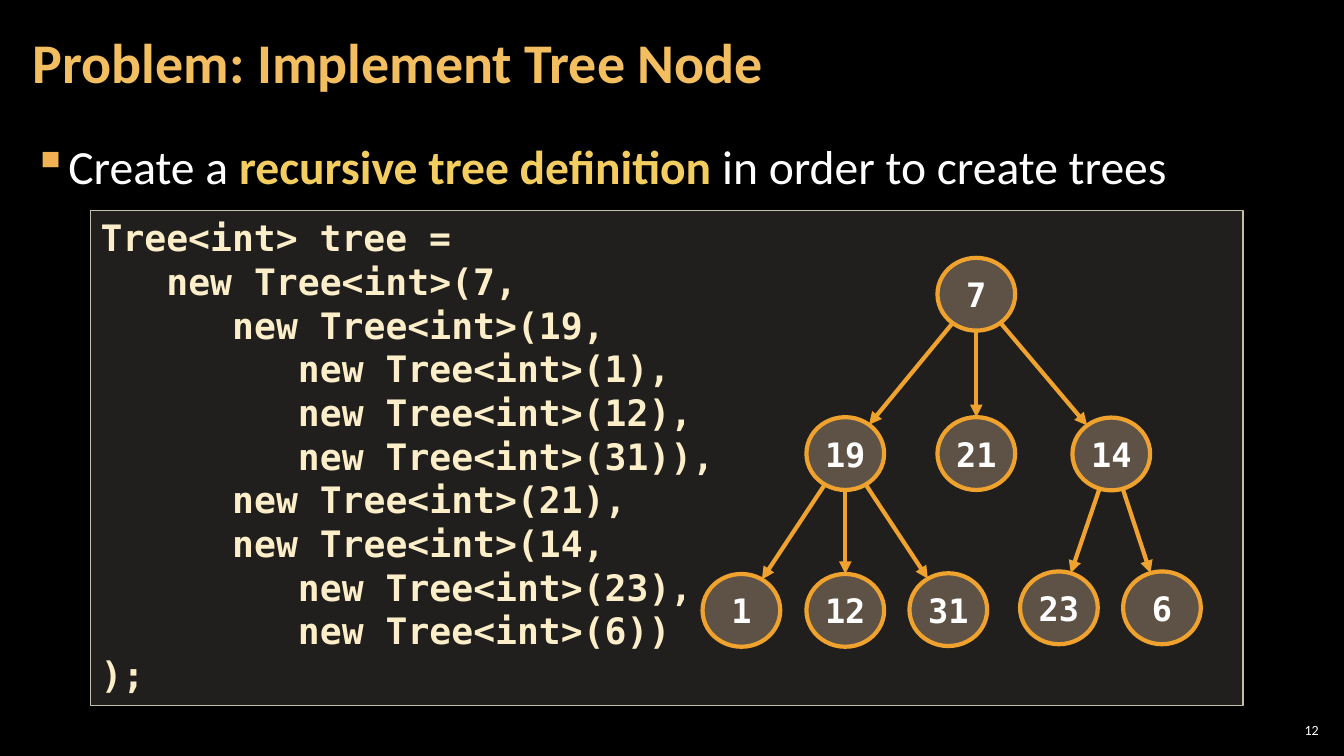
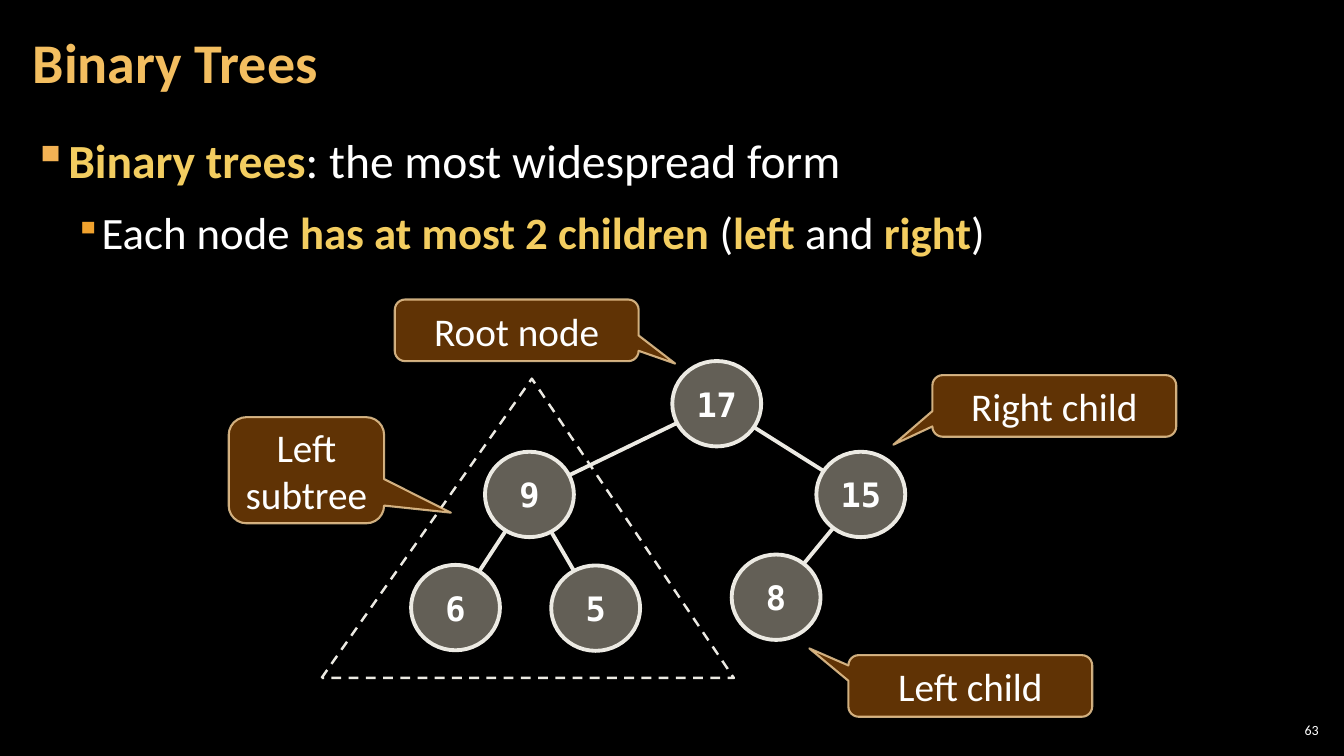
"""Build two slides about trees: a recursive definition and binary trees."""
import math

import lxml.etree
import pptx
import pptx.dml.color
import pptx.enum.dml
import pptx.enum.shapes
import pptx.enum.text
import pptx.oxml.ns
import pptx.util

Pt = pptx.util.Pt
SHAPE = pptx.enum.shapes.MSO_SHAPE
ALIGN = pptx.enum.text.PP_ALIGN
MIDDLE = pptx.enum.text.MSO_ANCHOR.MIDDLE
BODY_FONT = "Calibri"
CODE_FONT = "DejaVu Sans Mono"
COLORS = {
    "background": "000000", "title": "F3BE60", "text": "FFFFFF", "strong": "F3CD60",
    "bullet": "F2B254", "subbullet": "F0A22E",
    "code": "FBEEC9", "code_fill": "D9D5C7", "code_line": "C7BFAC",
    "orange_fill": "ECC8A4", "orange_line": "F0A22E",
    "gray_fill": "C7BFAC", "gray_line": "ECEAE3",
    "callout_fill": "663606", "callout_line": "F8D49E",
}
BULLETS = [
    {"size": 34, "left": 24, "hang": 24, "color": "bullet", "percent": 100},
    {"size": 32, "left": 48, "hang": 18, "color": "subbullet", "percent": 80},
]
CODE_INDENT = 47
CODE = [
    (0, "Tree<int> tree ="),
    (1, "new Tree<int>(7,"),
    (2, "new Tree<int>(19,"),
    (3, "new Tree<int>(1),"),
    (3, "new Tree<int>(12),"),
    (3, "new Tree<int>(31)),"),
    (2, "new Tree<int>(21),"),
    (2, "new Tree<int>(14,"),
    (3, "new Tree<int>(23),"),
    (3, "new Tree<int>(6))"),
    (0, ");"),
]
ORANGE_STYLE = {"width": 55.5, "height": 52, "fill": "orange_fill", "opacity": 30,
                "line": "orange_line", "weight": 3, "arrow": True}
GRAY_STYLE = {"width": 63.5, "height": 61, "fill": "gray_fill", "opacity": 50,
              "line": "gray_line", "weight": 2.75, "arrow": False}
GENERAL_NODES = {
    "7": (697.4, 210.2),
    "19": (603.8, 324), "21": (697.4, 324), "14": (793.8, 324.3),
    "1": (529.6, 436), "12": (603.8, 436), "31": (677.4, 435.5),
    "23": (756.4, 434.2), "6": (830, 434.2),
}
GENERAL_EDGES = [("7", "19"), ("7", "21"), ("7", "14"), ("19", "1"), ("19", "12"),
                 ("19", "31"), ("14", "23"), ("14", "6")]
BINARY_NODES = {
    "17": (512, 288.4), "9": (378.2, 353.2), "15": (614.9, 353.2),
    "6": (325.4, 434), "5": (425.5, 434.4), "8": (554.4, 426.6),
}
BINARY_EDGES = [("17", "9"), ("17", "15"), ("9", "6"), ("9", "5"), ("15", "8")]
CALLOUTS = [
    ("Root node", (282, 214, 174.2, 44), (0.65, 0.54)),
    ("Left\nsubtree", (163.4, 298, 111, 75.8), (0.93, 0.4)),
    ("Right child", (666, 268, 174.2, 44), (-0.66, 0.63)),
    ("Left child", (606, 468, 174.2, 44), (-0.66, -0.61)),
]


def rgb(name):
    """Return a palette colour."""
    return pptx.dml.color.RGBColor.from_string(COLORS[name])


def add_xml(parent, tag, **attributes):
    """Append a drawing element to its parent."""
    return lxml.etree.SubElement(parent, pptx.oxml.ns.qn("a:" + tag), attributes)


def set_opacity(fill_parent, percent):
    """Make the solid fill inside an element partly transparent."""
    color = fill_parent.find(pptx.oxml.ns.qn("a:solidFill"))[0]
    add_xml(color, "alpha", val=str(percent * 1000))


def style_font(font, size, color, bold=False, name=BODY_FONT):
    """Set the look of a font."""
    font.name, font.size, font.bold = name, Pt(size), bold
    font.color.rgb = rgb(color)


def write(shape, text, size, color, bold=False, font=BODY_FONT, align=ALIGN.CENTER):
    """Fill a shape with evenly styled, vertically centred text."""
    frame = shape.text_frame
    frame.text = text
    frame.vertical_anchor = MIDDLE
    for para in frame.paragraphs:
        para.alignment = align
        for span in para.runs:
            style_font(span.font, size, color, bold, font)


def add_text_box(slide, place, side_inset):
    """Add a wrapping text box with narrow insets."""
    box = slide.shapes.add_textbox(*map(Pt, place))
    frame = box.text_frame
    frame.word_wrap = True
    frame.margin_left = frame.margin_right = Pt(side_inset)
    frame.margin_top = frame.margin_bottom = Pt(3)
    return box


def add_figure(slide, kind, place, line, weight, fill=None, opacity=100):
    """Add a preset shape with a flat fill and outline."""
    shape = slide.shapes.add_shape(kind, *map(Pt, place))
    shape.shadow.inherit = False
    if fill:
        shape.fill.solid()
        shape.fill.fore_color.rgb = rgb(fill)
        set_opacity(shape.fill._xPr, opacity)
    else:
        shape.fill.background()
    shape.line.color.rgb = rgb(line)
    shape.line.width = Pt(weight)
    return shape


def add_page(deck, title, number):
    """Add a slide with its title and number."""
    page = deck.slides.add_slide(deck.slide_layouts[6])
    title_box = add_text_box(page, (15, 3, 754, 87), 8.5)
    write(title_box, title, 40, "title", True, align=ALIGN.LEFT)
    title_box.text_frame.paragraphs[0].line_spacing = 0.9
    number_box = add_text_box(page, (911, 514, 34, 15), 3)
    write(number_box, number, 10, "text", align=ALIGN.RIGHT)
    return page


def add_bullets(slide, items, line_spacing=1.0):
    """Add bulleted lines; each item is a level and (text, is_strong) spans."""
    frame = add_text_box(slide, (15, 90.7, 930, 438), 8.5).text_frame
    for index, (level, spans) in enumerate(items):
        para = frame.add_paragraph() if index else frame.paragraphs[0]
        look = BULLETS[level]
        para.level = level
        para.line_spacing = line_spacing
        para.space_before = para.space_after = Pt(6)
        for text, strong in spans:
            span = para.add_run()
            span.text = text
            style_font(span.font, look["size"], "strong" if strong else "text", strong)
        settings = para._p.get_or_add_pPr()
        settings.set("marL", str(Pt(look["left"])))
        settings.set("indent", str(-Pt(look["hang"])))
        add_xml(add_xml(settings, "buClr"), "srgbClr", val=COLORS[look["color"]])
        add_xml(settings, "buSzPct", val=str(look["percent"] * 1000))
        add_xml(settings, "buChar", char="▪")


def add_code(slide, lines, place):
    """Add a code panel whose lines are indented by level."""
    panel = add_figure(slide, SHAPE.RECTANGLE, place, "code_line", 1, "code_fill", 15)
    write(panel, "\n".join(text for _, text in lines), 26, "code", True,
          CODE_FONT, ALIGN.LEFT)
    panel.text_frame.vertical_anchor = pptx.enum.text.MSO_ANCHOR.TOP
    for para, (level, _) in zip(panel.text_frame.paragraphs, lines):
        para._p.get_or_add_pPr().set("marL", str(Pt(level * CODE_INDENT)))


def add_edge(slide, start, end, style):
    """Join the rims of two nodes along the line between their centres."""
    across, down = end[0] - start[0], end[1] - start[1]
    share = 0.5 / math.hypot(across / style["width"], down / style["height"])
    shift_x, shift_y = across * share, down * share
    edge = slide.shapes.add_connector(
        pptx.enum.shapes.MSO_CONNECTOR.STRAIGHT,
        Pt(start[0] + shift_x), Pt(start[1] + shift_y),
        Pt(end[0] - shift_x), Pt(end[1] - shift_y))
    edge.line.color.rgb = rgb(style["line"])
    edge.line.width = Pt(style["weight"])
    if style["arrow"]:
        add_xml(edge.line._get_or_add_ln(), "tailEnd", type="triangle")
    add_xml(edge._element.spPr, "effectLst")


def add_tree(slide, nodes, edges, style):
    """Draw labelled nodes around their centres and the edges between them."""
    width, height = style["width"], style["height"]
    for label, (x, y) in nodes.items():
        place = (x - width / 2, y - height / 2, width, height)
        node = add_figure(slide, SHAPE.OVAL, place, style["line"], style["weight"],
                          style["fill"], style["opacity"])
        write(node, label, 24, "text", True, CODE_FONT)
        node.text_frame.word_wrap = False
    for parent, child in edges:
        add_edge(slide, nodes[parent], nodes[child], style)


def add_callout(slide, text, place, tip):
    """Add a rounded callout whose tip is given relative to its centre."""
    callout = add_figure(slide, SHAPE.ROUNDED_RECTANGULAR_CALLOUT, place,
                         "callout_line", 1.5, "callout_fill", 95)
    set_opacity(callout.line._get_or_add_ln(), 80)
    callout.adjustments[0], callout.adjustments[1] = tip
    write(callout, text, 28, "text")


def build_tree_node(deck):
    """Build the slide on the recursive tree definition."""
    page = add_page(deck, "Problem: Implement Tree Node", "12")
    add_code(page, CODE, (64.8, 150.4, 823, 353.5))
    add_bullets(page, [(0, [("Create a ", False), ("recursive tree definition ", True),
                            ("in order to create trees", False)])], 1.1)
    add_tree(page, GENERAL_NODES, GENERAL_EDGES, ORANGE_STYLE)


def build_binary_trees(deck):
    """Build the slide on binary trees."""
    page = add_page(deck, "Binary Trees", "63")
    add_bullets(page, [
        (0, [("Binary trees", True), (": the most widespread form", False)]),
        (1, [("Each node ", False), ("has at most 2 children", True), (" (", False),
             ("left", True), (" and ", False), ("right", True), (")", False)]),
    ])
    add_tree(page, BINARY_NODES, BINARY_EDGES, GRAY_STYLE)
    subtree = add_figure(page, SHAPE.ISOSCELES_TRIANGLE, (229.7, 270.5, 294.5, 213.8),
                         "gray_line", 1.75)
    subtree.adjustments[0] = 0.51
    subtree.line.dash_style = pptx.enum.dml.MSO_LINE.DASH
    for text, place, tip in CALLOUTS:
        add_callout(page, text, place, tip)


def main():
    """Build and save the deck."""
    deck = pptx.Presentation()
    deck.slide_width, deck.slide_height = Pt(960), Pt(540)
    backdrop = deck.slide_master.background.fill
    backdrop.solid()
    backdrop.fore_color.rgb = rgb("background")
    build_tree_node(deck)
    build_binary_trees(deck)
    deck.save("out.pptx")


if __name__ == "__main__":
    main()
